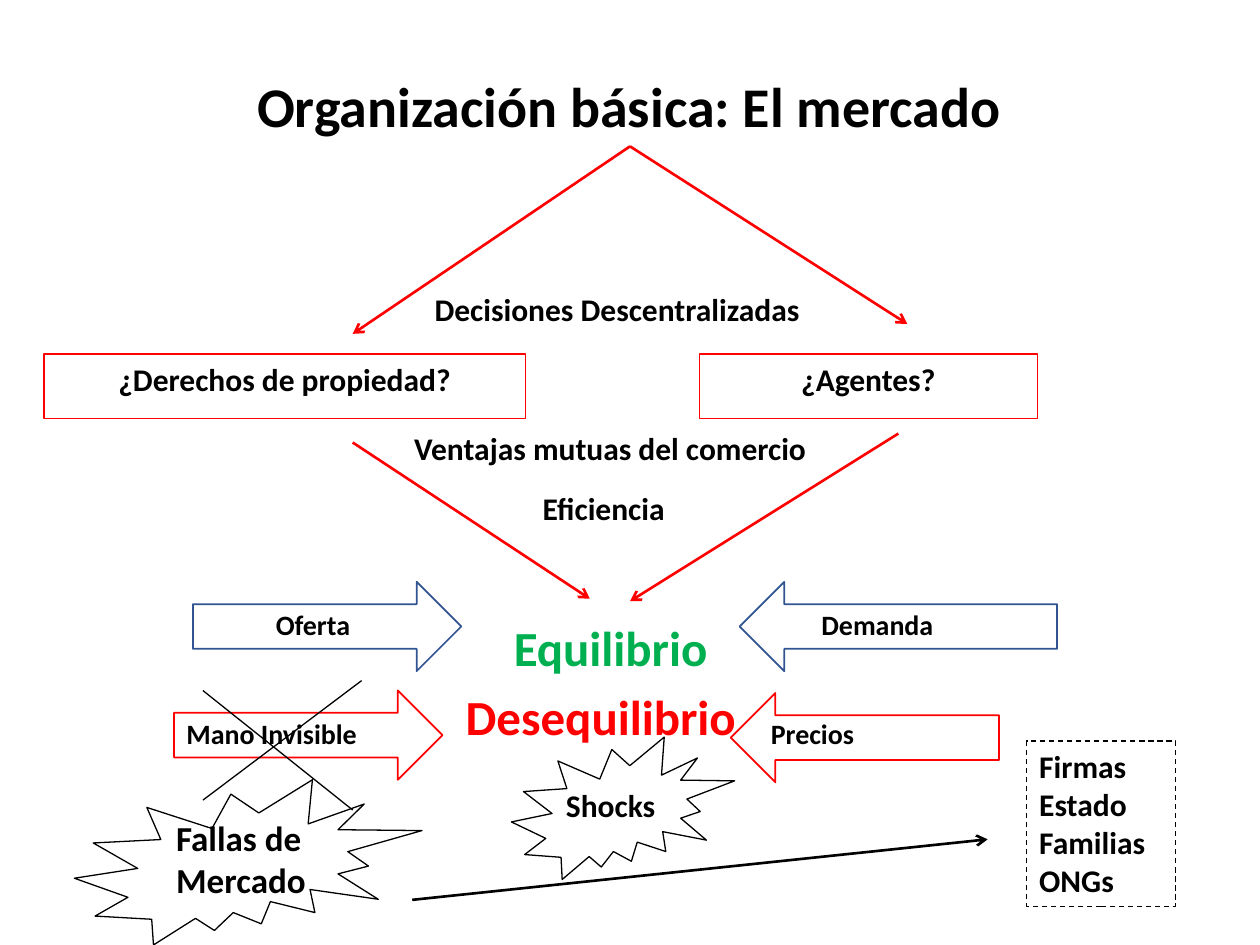
"""Build the market organisation slide with python-pptx."""
from lxml.etree import SubElement
from pptx import Presentation
from pptx.dml.color import RGBColor
from pptx.enum.dml import MSO_LINE
from pptx.enum.shapes import MSO_CONNECTOR, MSO_SHAPE
from pptx.enum.text import MSO_ANCHOR, MSO_AUTO_SIZE, PP_ALIGN
from pptx.oxml.ns import qn
from pptx.util import Cm, Pt

BLACK, RED, GREEN, BLUE = "000000", "FF0000", "00B050", "325491"
LEFT, CENTER = PP_ALIGN.LEFT, PP_ALIGN.CENTER

TITLE = ("Organización básica: El mercado", (4.29, 1.32, 16.79, 1.63))

BOXES = [
    (["¿Derechos de propiedad?"], (0.89, 7.14, 9.7, 1.3), RED, CENTER, None),
    (["¿Agentes?"], (14.1, 7.14, 6.81, 1.3), RED, CENTER, None),
    (["Firmas", "Estado", "Familias", "ONGs"], (20.7, 14.94, 3, 3.33), BLACK, LEFT, MSO_LINE.DASH),
]

BLOCK_ARROWS = [
    ((3.89, 11.73, 5.41, 1.8), BLUE, 0),
    ((14.91, 11.73, 6.4, 1.8), BLUE, 180),
    ((3.51, 13.92, 5.41, 1.8), RED, 0),
    ((14.73, 13.97, 5.41, 1.8), RED, 180),
]

BURSTS = [(10.31, 14.86, 4.5, 2.87), (1.5, 15.72, 7.01, 3.33)]

LABELS = [
    ("Decisiones Descentralizadas", (8.51, 5.72, 9.19, 1.02), 18, BLACK, LEFT),
    ("Ventajas mutuas del comercio", (8.1, 8.53, 9.19, 1.02), 18, BLACK, LEFT),
    ("Eficiencia", (10.69, 9.73, 3.4, 1.02), 18, BLACK, LEFT),
    ("Equilibrio", (6.91, 12.32, 10.8, 1.45), 28, GREEN, CENTER),
    ("Desequilibrio", (6.71, 13.72, 10.8, 1.45), 28, RED, CENTER),
    ("Oferta", (5.31, 12.12, 5.99, 0.94), 16, BLACK, LEFT),
    ("Demanda", (16.31, 12.12, 7.21, 0.94), 16, BLACK, LEFT),
    ("Mano Invisible", (3.51, 14.33, 7.21, 0.94), 16, BLACK, LEFT),
    ("Precios", (15.29, 14.33, 7.21, 0.94), 16, BLACK, LEFT),
    ("Shocks", (6.91, 15.72, 10.8, 1.3), 18, BLACK, CENTER),
    ("Fallas de Mercado", (3.3, 16.33, 4.8, 2.13), 20, BLACK, LEFT),
]

ARROWS = [
    ((12.7, 2.95), (7.11, 6.73), RED),
    ((12.7, 2.95), (18.29, 6.53), RED),
    ((7.11, 8.92), (11.89, 12.07), RED),
    ((18.11, 8.74), (12.7, 12.12), RED),
    ((8.31, 18.14), (19.91, 16.92), BLACK),
]

CROSS = [((7.29, 13.72), (4.09, 16.13)), ((4.09, 13.92), (7.11, 16.33))]


def lengths(values):
    return [Cm(value) for value in values]


def color(target, value):
    target.rgb = RGBColor.from_string(value)


def write(shape, lines, size, text_color, alignment):
    frame = shape.text_frame
    frame.text = "\n".join(lines)
    frame.word_wrap = True
    frame.auto_size = MSO_AUTO_SIZE.NONE
    frame.vertical_anchor = MSO_ANCHOR.TOP
    for paragraph in frame.paragraphs:
        paragraph.alignment = alignment
        font = paragraph.font
        font.name, font.size, font.bold = "Calibri", Pt(size), True
        color(font.color, text_color)


def add_outline(slide, kind, area, line_color, width):
    shape = slide.shapes.add_shape(kind, *lengths(area))
    shape.shadow.inherit = False
    shape.fill.background()
    color(shape.line.color, line_color)
    shape.line.width = Pt(width)
    return shape


def add_line(slide, start, end, line_color, width, arrowhead=False):
    connector = slide.shapes.add_connector(MSO_CONNECTOR.STRAIGHT, *lengths(start + end))
    color(connector.line.color, line_color)
    connector.line.width = Pt(width)
    if arrowhead:
        SubElement(connector.line._get_or_add_ln(), qn("a:tailEnd"), type="arrow")
    SubElement(connector._element.spPr, qn("a:effectLst"))


def main():
    presentation = Presentation()
    presentation.slide_width, presentation.slide_height = Cm(25.4), Cm(19.05)
    slide = presentation.slides.add_slide(presentation.slide_layouts[5])

    title = slide.shapes.title
    text, area = TITLE
    title.left, title.top, title.width, title.height = lengths(area)
    write(title, [text], 32, BLACK, CENTER)

    for lines, area, line_color, alignment, dash in BOXES:
        box = add_outline(slide, MSO_SHAPE.RECTANGLE, area, line_color, 0.75)
        box.line.dash_style = dash
        write(box, lines, 18, BLACK, alignment)
    for area, line_color, rotation in BLOCK_ARROWS:
        add_outline(slide, MSO_SHAPE.RIGHT_ARROW, area, line_color, 1).rotation = rotation
    for area in BURSTS:
        add_outline(slide, MSO_SHAPE.EXPLOSION2, area, BLACK, 0.75)
    for text, area, size, text_color, alignment in LABELS:
        label = slide.shapes.add_textbox(*lengths(area))
        write(label, [text], size, text_color, alignment)
    for start, end, line_color in ARROWS:
        add_line(slide, start, end, line_color, 1.5, arrowhead=True)
    for start, end in CROSS:
        add_line(slide, start, end, BLACK, 0.75)

    presentation.save("out.pptx")


if __name__ == "__main__":
    main()
